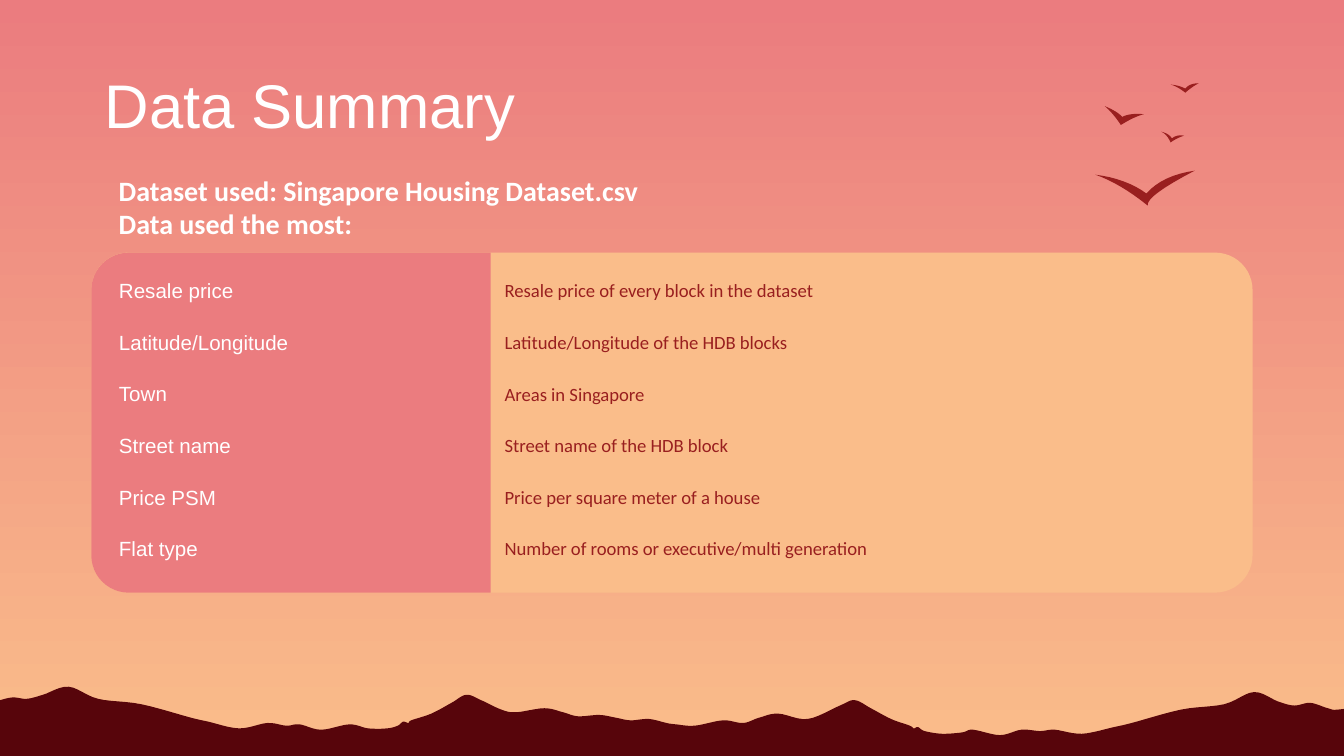
import lxml.etree
import pptx
import pptx.dml.color
import pptx.enum.shapes
import pptx.enum.text
import pptx.oxml.ns
import pptx.util

WIDTH = pptx.util.Inches(10)
HEIGHT = WIDTH * 9 // 16
COLUMN, ROW = WIDTH / 100, HEIGHT / 56.25  # square grid
FINE = COLUMN / 10  # outline points are tenths of a grid square

CORAL = pptx.dml.color.RGBColor(0xEB, 0x7C, 0x7F)
PEACH = pptx.dml.color.RGBColor(0xFA, 0xBD, 0x8A)
WHITE = pptx.dml.color.RGBColor(0xFF, 0xFF, 0xFF)
RED = pptx.dml.color.RGBColor(0x99, 0x1F, 0x1F)
MAROON = pptx.dml.color.RGBColor(0x57, 0x05, 0x0B)

# Skyline of the hills, measured from the left top of their box
RIDGE = [
    (0, 9), (26, 12), (34, 11), (47, 8), (58, 9), (70, 6), (89, 0), (111, 9),
    (143, 13), (180, 23), (193, 26), (216, 31), (237, 27), (251, 29), (261, 28),
    (277, 32), (298, 28), (312, 31), (326, 31), (334, 29), (338, 26), (342, 27),
    (344, 25), (359, 20), (374, 12), (385, 6), (396, 10), (411, 17), (422, 19),
    (443, 16), (457, 19), (468, 22), (484, 21), (496, 23), (507, 25), (521, 24),
    (534, 27), (541, 28), (555, 29), (576, 25), (591, 27), (603, 23), (617, 20),
    (639, 24), (663, 14), (674, 10), (686, 16), (701, 24), (715, 29), (718, 31),
    (721, 30), (726, 33), (739, 35), (754, 34), (762, 32), (782, 36), (798, 32),
    (812, 33), (823, 32), (843, 35), (867, 30), (880, 27), (917, 17), (949, 13),
    (971, 4), (989, 11), (1001, 14), (1013, 12), (1026, 16), (1034, 17), (1060, 13),
]

# Birds: left top on the grid, then corners alternating with wing-edge midpoints
BIRDS = [
    ((81.5, 12.7), [(0, 3), (21, 8), (38, 17), (53, 6),
                    (74, 0), (47, 16), (39, 26), (19, 12)]),
    ((82.2, 7.9), [(0, 0), (8, 4), (13, 8), (20, 6),
                   (29, 6), (21, 9), (12, 14), (6, 6)]),
    ((86.4, 9.8), [(0, 0), (5, 2), (8, 5), (12, 3),
                   (17, 3), (12, 5), (7, 8), (4, 3)]),
    ((87.1, 6.2), [(0, 1), (6, 2), (11, 4), (15, 1),
                   (21, 0), (16, 3), (11, 7), (5, 3)]),
]

FIELDS = [
    ("Resale price", "Resale price of every block in the dataset"),
    ("Latitude/Longitude", "Latitude/Longitude of the HDB blocks"),
    ("Town", "Areas in Singapore"),
    ("Street name", "Street name of the HDB block"),
    ("Price PSM", "Price per square meter of a house"),
    ("Flat type", "Number of rooms or executive/multi generation"),
]


def place(left, top, width, height):
    """Turn a box on the grid into slide lengths."""
    return [round(n) for n in (left * COLUMN, top * ROW, width * COLUMN, height * ROW)]


def paint(shape, color):
    shape.shadow.inherit = False
    shape.fill.solid()
    shape.fill.fore_color.rgb = color
    shape.line.fill.background()


def style(text_frame, font_name, size, color, bold=False):
    for paragraph in text_frame.paragraphs:
        for run in paragraph.runs:
            run.font.name = font_name
            run.font.size = pptx.util.Pt(size)
            run.font.bold = bold
            run.font.color.rgb = color


def smooth(points, steps=6):
    """Catmull-Rom curve through the points."""
    padded = [points[0], *points, points[-1]]
    curve = [points[0]]
    for a, b, c, d in zip(padded, padded[1:], padded[2:], padded[3:]):
        for t in (step / steps for step in range(1, steps + 1)):
            curve.append(tuple(
                (2 * q + (r - p) * t + (2 * p - 5 * q + 4 * r - s) * t ** 2
                 + (3 * q - p - 3 * r + s) * t ** 3) / 2
                for p, q, r, s in zip(a, b, c, d)))
    return curve


def wing_outline(points, steps=8):
    """Closed outline of parabolic edges through start, midpoint and end."""
    curve = []
    for index in range(0, len(points), 2):
        start, middle = points[index:index + 2]
        end = points[(index + 2) % len(points)]
        for t in (step / steps for step in range(steps)):
            curve.append(tuple(
                a * (1 - t) * (1 - 2 * t) + 4 * m * t * (1 - t) + b * t * (2 * t - 1)
                for a, m, b in zip(start, middle, end)))
    return curve


def add_outline(slide, left, top, points, color):
    points = [(x * FINE, y * FINE) for x, y in points]
    builder = slide.shapes.build_freeform(*points[0], scale=1.0)
    builder.add_line_segments(points[1:], close=True)
    shape = builder.convert_to_shape(round(left * COLUMN), round(top * ROW))
    paint(shape, color)


def add_hills(slide, left, top, width, height):
    base = [(width * 10, height * 10), (0, height * 10)]
    add_outline(slide, left, top, smooth(RIDGE) + base, MAROON)


def add_panel(slide, left, top, width, height, label_width):
    shapes = pptx.enum.shapes.MSO_SHAPE
    panel = slide.shapes.add_shape(shapes.ROUNDED_RECTANGLE,
                                   *place(left, top, width, height))
    panel.adjustments[0] = 0.11
    paint(panel, PEACH)
    # Label side: a quarter turn puts the rounded corners on the left
    shift = (label_width - height) / 2
    labels = slide.shapes.add_shape(shapes.ROUND_2_SAME_RECTANGLE,
                                    *place(left + shift, top - shift, height, label_width))
    labels.adjustments[0] = 0.11
    labels.rotation = 270
    paint(labels, CORAL)


def add_text(slide, box, lines, font_name, size, bold=False):
    text_frame = slide.shapes.add_textbox(*place(*box)).text_frame
    text_frame.word_wrap = True
    text_frame.vertical_anchor = pptx.enum.text.MSO_ANCHOR.TOP
    text_frame.margin_left = text_frame.margin_right = round(COLUMN)
    text_frame.margin_top = text_frame.margin_bottom = round(ROW)
    text_frame.text = "\n".join(lines)
    style(text_frame, font_name, size, WHITE, bold)


def hide_borders(cell):
    properties = cell._tc.get_or_add_tcPr()
    for index, side in enumerate(("a:lnL", "a:lnR", "a:lnT", "a:lnB")):
        line = lxml.etree.Element(pptx.oxml.ns.qn(side), w="0")
        lxml.etree.SubElement(line, pptx.oxml.ns.qn("a:noFill"))
        properties.insert(index, line)


def add_field_table(slide, left, top, width, height, label_width):
    frame = slide.shapes.add_table(len(FIELDS), 2, *place(left, top, width, height))
    table = frame.table
    table.first_row = table.horz_banding = False
    table.columns[0].width = round(label_width * COLUMN)
    table.columns[1].width = round((width - label_width) * COLUMN)
    looks = [("Arial", 11, WHITE), ("Calibri", 10, RED)]
    for row, texts in enumerate(FIELDS):
        for column, (text, look) in enumerate(zip(texts, looks)):
            cell = table.cell(row, column)
            cell.fill.background()
            hide_borders(cell)
            cell.margin_left = cell.margin_right = round(COLUMN)
            cell.margin_top = cell.margin_bottom = round(ROW)
            cell.text_frame.text = text
            style(cell.text_frame, *look)


def main():
    presentation = pptx.Presentation()
    presentation.slide_width, presentation.slide_height = WIDTH, HEIGHT
    slide = presentation.slides.add_slide(presentation.slide_layouts[6])

    # Sunset background, coral at the top
    fill = slide.background.fill
    fill.gradient()
    fill.gradient_angle = 270
    for stop, color, position in zip(fill.gradient_stops, (CORAL, PEACH), (0, 1)):
        stop.color.rgb = color
        stop.position = position

    add_hills(slide, -3.8, 51.1, 106, 14.2)
    add_panel(slide, 6.8, 18.8, 86.4, 25.3, label_width=29.7)
    add_text(slide, (6.8, 4, 86.4, 6.3), ["Data Summary"], "Arial", 33)
    add_field_table(slide, 7.85, 19.85, 84.3, 22.95, label_width=28.7)
    add_text(slide, (7.85, 11.9, 84.3, 5.2),
             ["Dataset used: Singapore Housing Dataset.csv", "Data used the most:"],
             "Calibri", 15, bold=True)
    for (left, top), points in BIRDS:
        add_outline(slide, left, top, wing_outline(points), RED)

    presentation.save("out.pptx")


if __name__ == "__main__":
    main()
